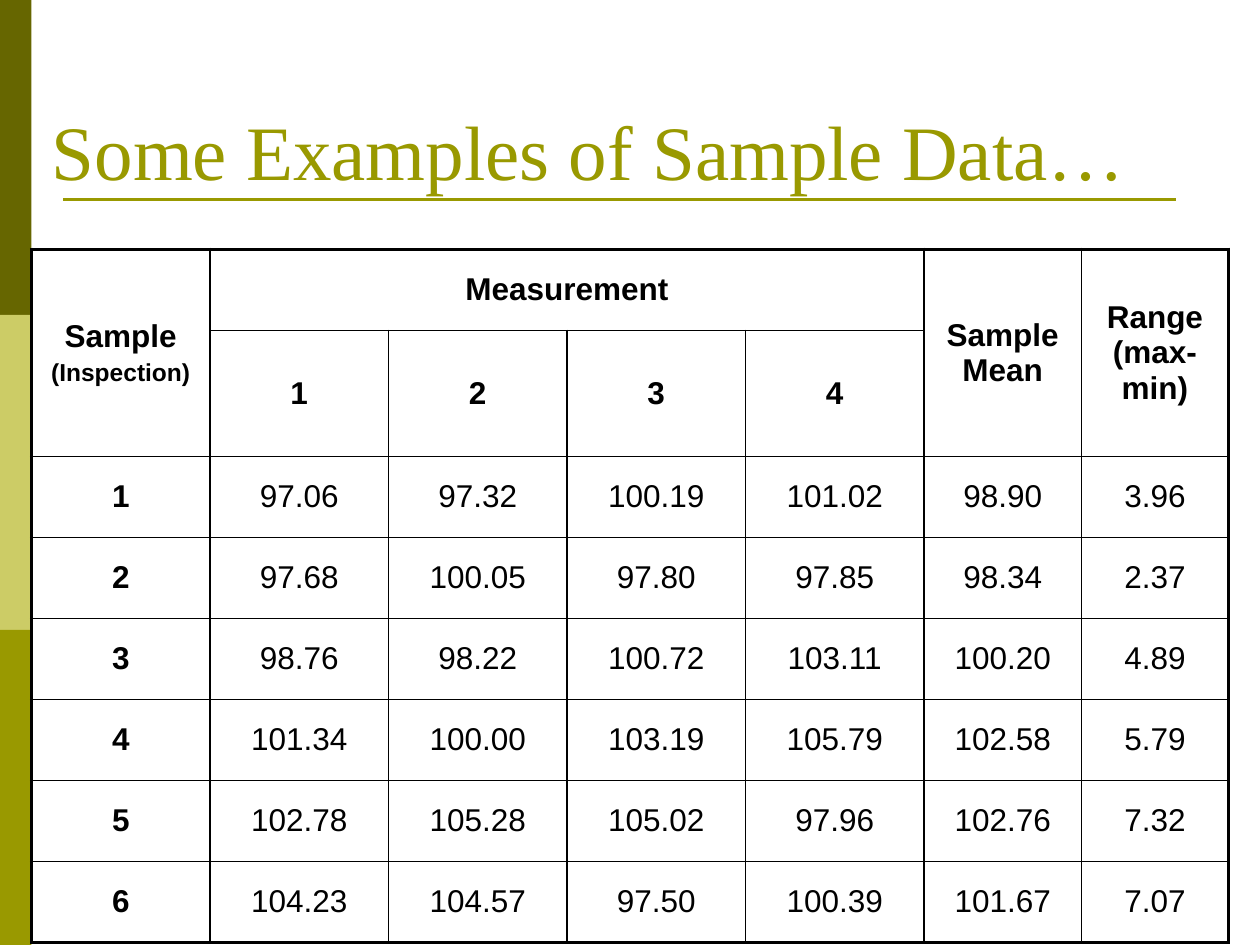
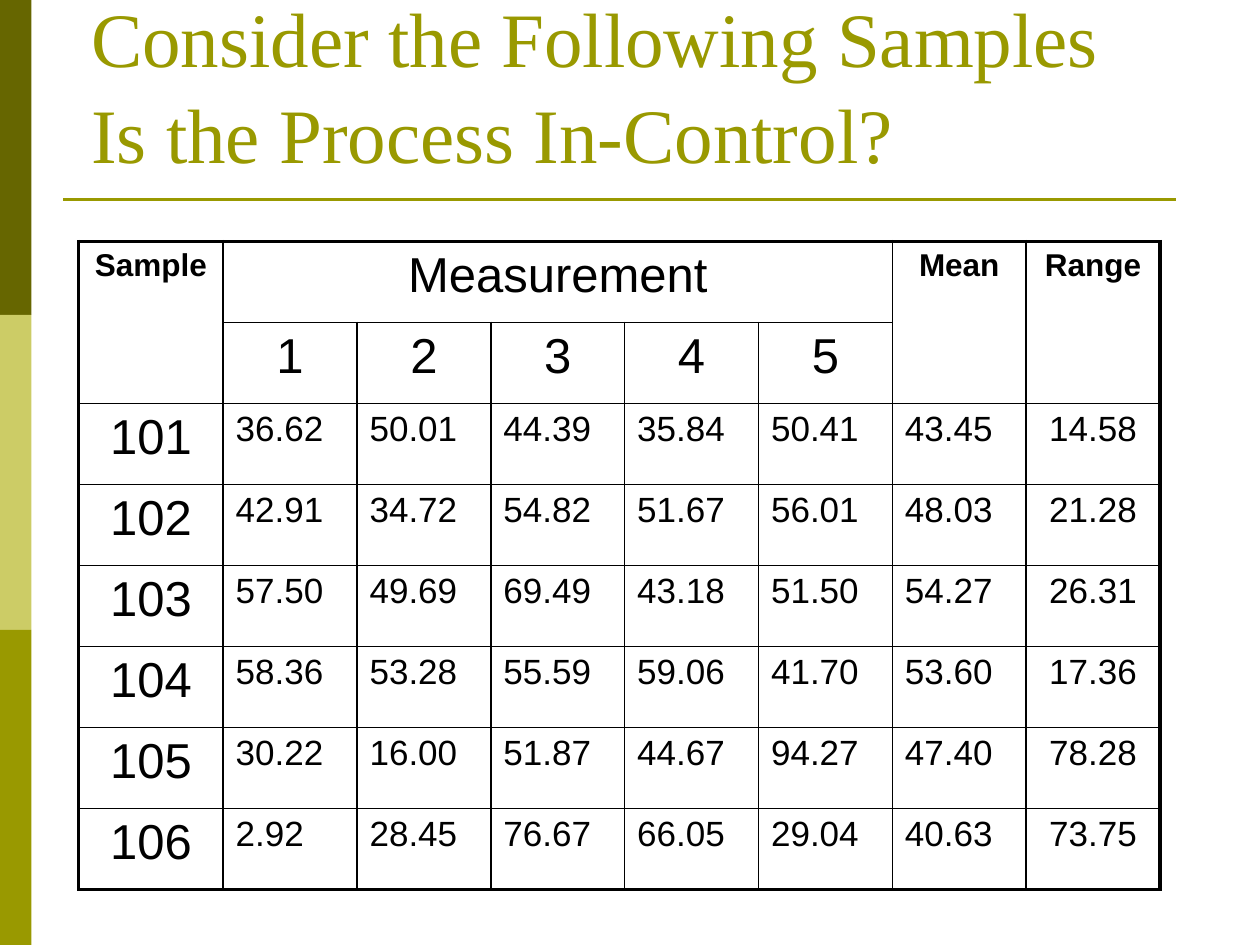
"""Builds two slides of inspection sample tables."""
from dataclasses import dataclass

from lxml import etree
from pptx import Presentation
from pptx.dml.color import RGBColor
from pptx.enum.shapes import MSO_CONNECTOR, MSO_SHAPE
from pptx.enum.text import MSO_ANCHOR, PP_ALIGN
from pptx.oxml.ns import qn
from pptx.util import Pt

EMU_PER_PX = 9525
SLIDE_WIDTH, SLIDE_HEIGHT = 960, 720
TABLE_HEIGHT = 494
OLIVE = "999900"
BLACK = "000000"
BAND_COLORS = ("666600", "CCCC66", OLIVE)
TITLE_FONT = "Times New Roman"
BODY_FONT = "Arial"
OUTER_BORDER, INNER_BORDER = 2.25, 1
HEADER_ROWS = 2
RECTANGLE = MSO_SHAPE.RECTANGLE
STRAIGHT = MSO_CONNECTOR.STRAIGHT
TOP, MIDDLE, BOTTOM = MSO_ANCHOR.TOP, MSO_ANCHOR.MIDDLE, MSO_ANCHOR.BOTTOM
LEFT, CENTER = PP_ALIGN.LEFT, PP_ALIGN.CENTER


@dataclass(frozen=True)
class Box:
    left: int
    top: int
    width: int
    height: int


@dataclass(frozen=True)
class TextStyle:
    size: int
    bold: bool = False
    alignment: PP_ALIGN = CENTER


@dataclass(frozen=True)
class SampleSlide:
    title: str
    title_box: Box
    table_left: int
    table_top: int
    column_widths: tuple[int, ...]
    sample_heading: str
    summary_headings: tuple[str, str]
    anchor: MSO_ANCHOR
    label_style: TextStyle
    value_style: TextStyle
    samples: tuple[str, ...]


HEADING_STYLE = TextStyle(18, bold=True)
NOTE_SIZE = 14

SAMPLE_SLIDES = (
    SampleSlide(
        title="Some Examples of Sample Data…",
        title_box=Box(30, 50, 912, 104),
        table_left=24,
        table_top=190,
        column_widths=(136,) * 5 + (120, 112),
        sample_heading="Sample\n(Inspection)",
        summary_headings=("Sample Mean", "Range (max-min)"),
        anchor=MIDDLE,
        label_style=HEADING_STYLE,
        value_style=TextStyle(18),
        samples=(
            "1 97.06 97.32 100.19 101.02 98.90 3.96",
            "2 97.68 100.05 97.80 97.85 98.34 2.37",
            "3 98.76 98.22 100.72 103.11 100.20 4.89",
            "4 101.34 100.00 103.19 105.79 102.58 5.79",
            "5 102.78 105.28 105.02 97.96 102.76 7.32",
            "6 104.23 104.57 97.50 100.39 101.67 7.07",
        ),
    ),
    SampleSlide(
        title="Consider the Following Samples\nIs the Process In-Control?",
        title_box=Box(60, 45, 900, 96),
        table_left=60,
        table_top=184,
        column_widths=(110,) + (102,) * 7,
        sample_heading="Sample",
        summary_headings=("Mean", "Range"),
        anchor=TOP,
        label_style=TextStyle(28),
        value_style=TextStyle(20, alignment=LEFT),
        samples=(
            "101 36.62 50.01 44.39 35.84 50.41 43.45 14.58",
            "102 42.91 34.72 54.82 51.67 56.01 48.03 21.28",
            "103 57.50 49.69 69.49 43.18 51.50 54.27 26.31",
            "104 58.36 53.28 55.59 59.06 41.70 53.60 17.36",
            "105 30.22 16.00 51.87 44.67 94.27 47.40 78.28",
            "106 2.92 28.45 76.67 66.05 29.04 40.63 73.75",
        ),
    ),
)


def emu(pixels: int) -> int:
    return pixels * EMU_PER_PX


def place(box: Box) -> tuple[int, int, int, int]:
    return emu(box.left), emu(box.top), emu(box.width), emu(box.height)


def color(hex_value: str) -> RGBColor:
    return RGBColor.from_string(hex_value)


def set_font(paragraph, name: str, size: int, hex_value: str, bold: bool = False) -> None:
    paragraph.font.name = name
    paragraph.font.size = Pt(size)
    paragraph.font.bold = bold
    paragraph.font.color.rgb = color(hex_value)


def draw_frame(slide) -> None:
    band_height = SLIDE_HEIGHT // len(BAND_COLORS)
    for index, hex_value in enumerate(BAND_COLORS):
        box = Box(0, index * band_height, 24, band_height)
        band = slide.shapes.add_shape(RECTANGLE, *place(box))
        band.shadow.inherit = False
        band.fill.solid()
        band.fill.fore_color.rgb = color(hex_value)
        band.line.fill.background()
    rule = slide.shapes.add_connector(STRAIGHT, emu(48), emu(152), emu(896), emu(152))
    rule.line.color.rgb = color(OLIVE)
    rule.line.width = Pt(1.5)
    etree.SubElement(rule._element.spPr, qn("a:effectLst"))


def draw_title(slide, title: str, box: Box) -> None:
    text_frame = slide.shapes.add_textbox(*place(box)).text_frame
    text_frame.word_wrap = True
    text_frame.vertical_anchor = BOTTOM
    paragraph = text_frame.paragraphs[0]
    paragraph.text = title
    paragraph.line_spacing = 1.04
    set_font(paragraph, TITLE_FONT, 44, OLIVE)


def write_cell(cell, text: str, style: TextStyle) -> None:
    cell.text = text
    for index, paragraph in enumerate(cell.text_frame.paragraphs):
        paragraph.alignment = style.alignment
        if index:
            paragraph.space_before = Pt(3)
        set_font(paragraph, BODY_FONT, NOTE_SIZE if index else style.size, BLACK, style.bold)


def set_borders(cell, outer_sides: dict[str, bool]) -> None:
    properties = cell._tc.get_or_add_tcPr()
    for side, is_outer in outer_sides.items():
        width = Pt(OUTER_BORDER if is_outer else INNER_BORDER)
        line = etree.SubElement(properties, qn(f"a:ln{side}"), w=str(int(width)))
        fill = etree.SubElement(line, qn("a:solidFill"))
        etree.SubElement(fill, qn("a:srgbClr"), val=BLACK)


def write_headings(table, content: SampleSlide, last_column: int) -> None:
    mean_column = last_column - 1
    outer_headings = (content.sample_heading, *content.summary_headings)
    for column, heading in zip((0, mean_column, last_column), outer_headings):
        write_cell(table.cell(0, column), heading, HEADING_STYLE)
        table.cell(0, column).merge(table.cell(1, column))
    write_cell(table.cell(0, 1), "Measurement", content.label_style)
    table.cell(0, 1).merge(table.cell(0, mean_column - 1))
    for column in range(1, mean_column):
        write_cell(table.cell(1, column), str(column), content.label_style)


def draw_table(slide, content: SampleSlide) -> None:
    row_count = HEADER_ROWS + len(content.samples)
    last_row, last_column = row_count - 1, len(content.column_widths) - 1
    box = Box(content.table_left, content.table_top, sum(content.column_widths), TABLE_HEIGHT)
    table = slide.shapes.add_table(row_count, last_column + 1, *place(box)).table
    table.first_row = False
    table.horz_banding = False
    for column, width in zip(table.columns, content.column_widths):
        column.width = emu(width)
    for row_index, row in enumerate(table.rows):
        row.height = emu(TABLE_HEIGHT) // row_count
        for column_index, cell in enumerate(row.cells):
            set_borders(cell, {
                "L": column_index == 0,
                "R": column_index == last_column,
                "T": row_index == 0,
                "B": row_index == last_row,
            })
            cell.fill.background()
            cell.vertical_anchor = content.anchor
    write_headings(table, content, last_column)
    range_style = TextStyle(content.value_style.size)
    middle_styles = [content.value_style] * (last_column - 1)
    styles = [content.label_style, *middle_styles, range_style]
    for row_index, sample in enumerate(content.samples, HEADER_ROWS):
        for column_index, (value, style) in enumerate(zip(sample.split(), styles)):
            write_cell(table.cell(row_index, column_index), value, style)


def main() -> None:
    presentation = Presentation()
    presentation.slide_width = emu(SLIDE_WIDTH)
    presentation.slide_height = emu(SLIDE_HEIGHT)
    blank_layout = presentation.slide_layouts[6]
    for content in SAMPLE_SLIDES:
        slide = presentation.slides.add_slide(blank_layout)
        draw_frame(slide)
        draw_title(slide, content.title, content.title_box)
        draw_table(slide, content)
    presentation.save("out.pptx")


if __name__ == "__main__":
    main()
